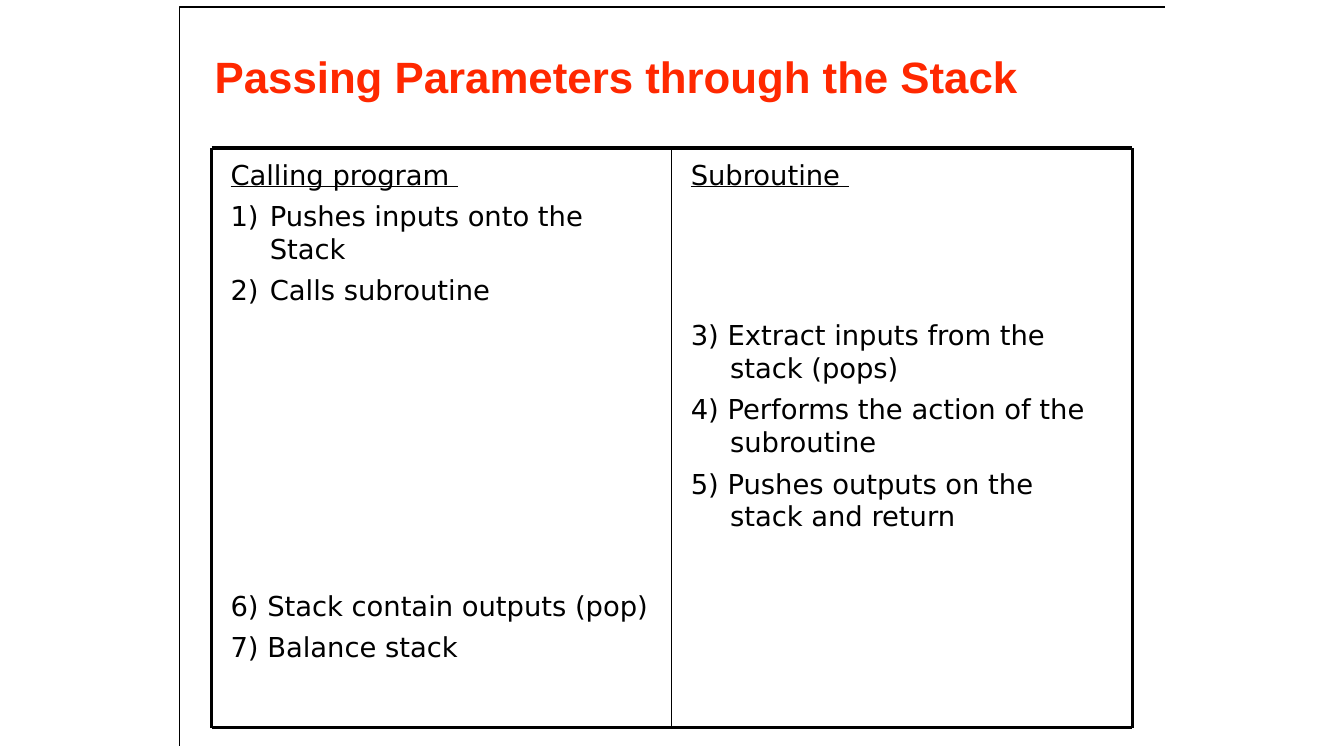
"""Build the slide on passing parameters through the stack."""
from lxml.etree import SubElement
from pptx import Presentation
from pptx.dml.color import RGBColor
from pptx.enum.shapes import MSO_CONNECTOR
from pptx.enum.text import MSO_ANCHOR, PP_ALIGN
from pptx.oxml.ns import qn
from pptx.util import Cm, Pt


def color(value):
    return RGBColor.from_string(value)


class StackSlide:
    ink = "000000"
    accent = "FF2800"
    title_font = "Arial"
    body_font = "DejaVu Sans"
    body_size = 19.6

    def __init__(self, presentation):
        self.slide = presentation.slides.add_slide(presentation.slide_layouts[6])

    def text_frame(self, left, top, width, height, inset_x=0, inset_y=0):
        shape = self.slide.shapes.add_textbox(Cm(left), Cm(top), Cm(width), Cm(height))
        frame = shape.text_frame
        frame.word_wrap = True
        frame.margin_left = frame.margin_right = Cm(inset_x)
        frame.margin_top = frame.margin_bottom = Cm(inset_y)
        return frame

    def style(self, paragraph, name, size, value):
        paragraph.alignment = PP_ALIGN.LEFT
        paragraph.font.name = name
        paragraph.font.size = Pt(size)
        paragraph.font.color.rgb = color(value)

    def title(self, text, left, top, width, height):
        frame = self.text_frame(left, top, width, height, inset_x=0.08)
        frame.vertical_anchor = MSO_ANCHOR.MIDDLE
        paragraph = frame.paragraphs[0]
        paragraph.text = text
        self.style(paragraph, self.title_font, 31.3, self.accent)
        paragraph.font.bold = True

    def column(self, heading, steps, left, top, width, height):
        frame = self.text_frame(left, top, width, height, 0.48, 0.25)
        paragraph = frame.paragraphs[0]
        paragraph.text = heading
        paragraph.space_before = Pt(6)
        self.style(paragraph, self.body_font, self.body_size, self.ink)
        paragraph.font.underline = True
        for text, gap, numbered in steps:
            self.step(frame.add_paragraph(), text, gap, numbered)

    def step(self, paragraph, text, gap, numbered):
        paragraph.text = text
        paragraph.space_before = Pt(gap)
        properties = paragraph._p.get_or_add_pPr()
        properties.set("marL", str(Cm(0.99)))
        properties.set("indent", str(-Cm(0.99)))
        if numbered:
            SubElement(properties, qn("a:buAutoNum"), type="arabicParenR")
        self.style(paragraph, self.body_font, self.body_size, self.ink)

    def line(self, start, end, weight):
        connector = self.slide.shapes.add_connector(
            MSO_CONNECTOR.STRAIGHT, *map(Cm, start + end))
        connector.line.color.rgb = color(self.ink)
        connector.line.width = Pt(weight)
        SubElement(connector._element.spPr, qn("a:effectLst"))

    def corner(self, left, top, right, bottom):
        builder = self.slide.shapes.build_freeform(Cm(right), Cm(top))
        builder.add_line_segments(
            [(Cm(left), Cm(top)), (Cm(left), Cm(bottom))], close=False)
        shape = builder.convert_to_shape()
        shape.shadow.inherit = False
        shape.fill.background()
        shape.line.color.rgb = color(self.ink)
        shape.line.width = Pt(0.98)


def main():
    presentation = Presentation()
    presentation.slide_width, presentation.slide_height = Cm(33.87), Cm(19.05)
    slide = StackSlide(presentation)
    slide.title("Passing Parameters through the Stack", 5.33, 1.24, 23.6, 1.37)
    slide.corner(4.52, 0.18, 29.36, 18.8)

    left, top, column_width, height = 5.33, 3.73, 11.6, 14.61
    middle, right, bottom = left + column_width, left + 2 * column_width, top + height
    caller_steps = [
        ("Pushes inputs onto the Stack", 6, True),
        ("Calls subroutine", 6, True),
        ("6) Stack contain outputs (pop)", 202, False),
        ("7) Balance stack", 6, False),
    ]
    subroutine_steps = [
        ("3) Extract inputs from the stack (pops)", 91, False),
        ("4) Performs the action of the subroutine", 6, False),
        ("5) Pushes outputs on the stack and return", 6, False),
    ]
    slide.column("Calling program ", caller_steps, left, top, column_width, height)
    slide.column("Subroutine ", subroutine_steps, middle, top, column_width, height)
    for y in (top, bottom):
        slide.line((left, y), (right, y), 2.25)
    for x, weight in ((left, 2.25), (middle, 1), (right, 2.25)):
        slide.line((x, top), (x, bottom), weight)
    presentation.save("out.pptx")


if __name__ == "__main__":
    main()
